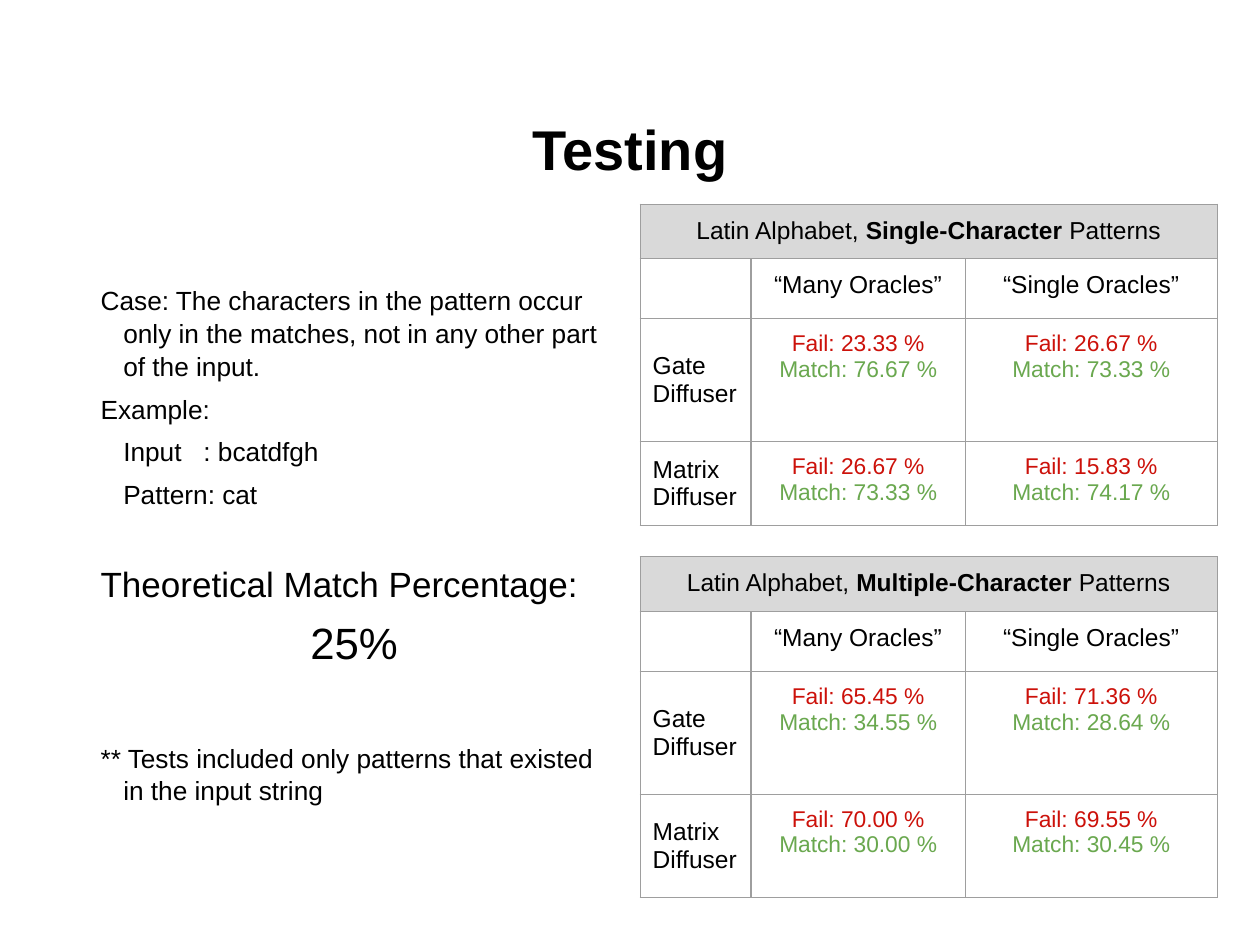
from dataclasses import dataclass

import lxml.etree
import pptx
import pptx.dml.color
import pptx.enum.text
import pptx.oxml.ns
import pptx.util

RGBColor = pptx.dml.color.RGBColor
ALIGN = pptx.enum.text.PP_ALIGN
ANCHOR = pptx.enum.text.MSO_ANCHOR
qn = pptx.oxml.ns.qn

BLACK = RGBColor(0x00, 0x00, 0x00)
HEADER_GREY = RGBColor(0xD9, 0xD9, 0xD9)
BORDER_GREY = RGBColor(0x9E, 0x9E, 0x9E)
FAIL_RED = RGBColor(0xCC, 0x11, 0x0A)
MATCH_GREEN = RGBColor(0x6A, 0xA8, 0x4F)

SLIDE_WIDTH = pptx.util.Inches(10)
SLIDE_HEIGHT = pptx.util.Inches(7.5)
GRID_COLUMNS, GRID_ROWS = 100, 75
INSET = 1  # grid columns
BORDER_WIDTH = pptx.util.Pt(0.75)

TABLE_LEFT = 50.8
TABLE_COLUMNS = (8.8, 17, 20)
UPPER_ROWS = (4.2, 4.75, 9.76)  # heading, oracle names, gate diffuser
ORACLES = ("“Many Oracles”", "“Single Oracles”")
DIFFUSERS = ("Gate Diffuser", "Matrix Diffuser")


@dataclass(frozen=True)
class Run:
    text: str
    size: float = 14
    color: RGBColor = BLACK
    bold: bool = False


@dataclass(frozen=True)
class Note:
    text: str
    size: float = 15
    space_before: float = 5.6
    first_indent: float = -1.8
    align: ALIGN = ALIGN.LEFT


@dataclass(frozen=True)
class Result:
    fail: str
    match: str


@dataclass(frozen=True)
class ResultTable:
    top: float
    pattern_kind: str
    last_row: float
    results: tuple[tuple[Result, Result], ...]  # one row per diffuser


NOTES = (
    Note("Case: The characters in the pattern occur only in the matches, "
         "not in any other part of the input."),
    Note("Example:"),
    Note("Input   : bcatdfgh", first_indent=0),
    Note("Pattern: cat", first_indent=0),
    Note("Theoretical Match Percentage:", size=20, space_before=29.2),
    Note("25%", size=25, align=ALIGN.CENTER),
    Note("** Tests included only patterns that existed in the input string",
         space_before=41.2),
)
NOTE_MARGIN = 3.8
NOTE_LINE_SPACING = 1.04

RESULT_TABLES = (
    ResultTable(16.2, "Single-Character", 6.4, (
        (Result("23.33", "76.67"), Result("26.67", "73.33")),
        (Result("26.67", "73.33"), Result("15.83", "74.17")),
    )),
    ResultTable(44.2, "Multiple-Character", 8.2, (
        (Result("65.45", "34.55"), Result("71.36", "28.64")),
        (Result("70.00", "30.00"), Result("69.55", "30.45")),
    )),
)


def across(columns: float) -> int:
    return round(SLIDE_WIDTH * columns / GRID_COLUMNS)


def down(rows: float) -> int:
    return round(SLIDE_HEIGHT * rows / GRID_ROWS)


def apply_format(target, values: dict) -> None:
    for attribute, value in values.items():
        setattr(target, attribute, value)


def set_insets(target) -> None:
    sides = ("left", "top", "right", "bottom")
    apply_format(target, {f"margin_{side}": across(INSET) for side in sides})


def format_font(font, run: Run) -> None:
    apply_format(font, {"name": "Arial", "size": pptx.util.Pt(run.size), "bold": run.bold})
    font.color.rgb = run.color


def write_paragraphs(frame, lines: list[list[Run]], align: ALIGN) -> None:
    for number, runs in enumerate(lines):
        paragraph = frame.add_paragraph() if number else frame.paragraphs[0]
        paragraph.alignment = align
        for run in runs:
            text_run = paragraph.add_run()
            text_run.text = run.text
            format_font(text_run.font, run)


def add_title(slide, text: str) -> None:
    title = slide.shapes.title
    apply_format(title, {"left": across(5), "top": down(5.9),
                         "width": across(90), "height": down(11.7)})
    frame = title.text_frame
    set_insets(frame)
    frame.vertical_anchor = ANCHOR.MIDDLE
    write_paragraphs(frame, [[Run(text, size=32, bold=True)]], ALIGN.CENTER)


def add_notes(slide, notes: tuple[Note, ...]) -> None:
    """Add the test case column with its hanging indents."""
    box = slide.shapes.add_textbox(across(5), down(21.5), across(44.2), down(45.5))
    frame = box.text_frame
    frame.word_wrap = True
    set_insets(frame)
    write_paragraphs(frame, [[Run(note.text, note.size)] for note in notes], ALIGN.LEFT)
    for paragraph, note in zip(frame.paragraphs, notes):
        apply_format(paragraph, {
            "alignment": note.align,
            "space_before": pptx.util.Pt(note.space_before),
            "line_spacing": NOTE_LINE_SPACING,
        })
        properties = paragraph._p.get_or_add_pPr()
        properties.set("marL", str(across(NOTE_MARGIN)))
        properties.set("indent", str(across(note.first_indent)))


def add_borders(cell) -> None:
    properties = cell._tc.get_or_add_tcPr()
    for side in ("a:lnL", "a:lnR", "a:lnT", "a:lnB"):
        line = lxml.etree.SubElement(properties, qn(side), w=str(BORDER_WIDTH))
        fill = lxml.etree.SubElement(line, qn("a:solidFill"))
        lxml.etree.SubElement(fill, qn("a:srgbClr"), val=str(BORDER_GREY))


def write_cell(cell, lines: list[list[Run]], align: ALIGN = ALIGN.CENTER,
               anchor: ANCHOR = ANCHOR.TOP) -> None:
    cell.vertical_anchor = anchor
    write_paragraphs(cell.text_frame, lines, align)


def result_lines(result: Result) -> list[list[Run]]:
    return [[Run(f"Fail: {result.fail} %", 13, FAIL_RED)],
            [Run(f"Match: {result.match} %", 13, MATCH_GREEN)]]


def add_result_table(slide, content: ResultTable) -> None:
    row_heights = (*UPPER_ROWS, content.last_row)
    table = slide.shapes.add_table(
        len(row_heights), len(TABLE_COLUMNS), across(TABLE_LEFT), down(content.top),
        across(sum(TABLE_COLUMNS)), down(sum(row_heights))).table
    apply_format(table, {"first_row": False, "horz_banding": False})
    for column, width in zip(table.columns, TABLE_COLUMNS):
        column.width = across(width)
    for row, height in zip(table.rows, row_heights):
        row.height = down(height)
    for cell in table.iter_cells():
        set_insets(cell)
        add_borders(cell)
        cell.fill.background()
    format_font(table.cell(1, 0).text_frame.paragraphs[0].font, Run(""))

    heading = table.cell(0, 0)
    heading.merge(table.cell(0, len(TABLE_COLUMNS) - 1))
    heading.fill.solid()
    heading.fill.fore_color.rgb = HEADER_GREY
    write_cell(heading, [[Run("Latin Alphabet, "), Run(content.pattern_kind, bold=True),
                          Run(" Patterns")]])
    for column, oracle in enumerate(ORACLES, start=1):
        write_cell(table.cell(1, column), [[Run(oracle)]])
    for row, (diffuser, results) in enumerate(zip(DIFFUSERS, content.results), start=2):
        write_cell(table.cell(row, 0), [[Run(diffuser)]], ALIGN.LEFT, ANCHOR.MIDDLE)
        for column, result in enumerate(results, start=1):
            write_cell(table.cell(row, column), result_lines(result))


def main() -> None:
    deck = pptx.Presentation()
    apply_format(deck, {"slide_width": SLIDE_WIDTH, "slide_height": SLIDE_HEIGHT})
    slide = deck.slides.add_slide(deck.slide_layouts.get_by_name("Title Only"))
    add_title(slide, "Testing")
    add_notes(slide, NOTES)
    for content in RESULT_TABLES:
        add_result_table(slide, content)
    deck.save("out.pptx")


if __name__ == "__main__":
    main()
